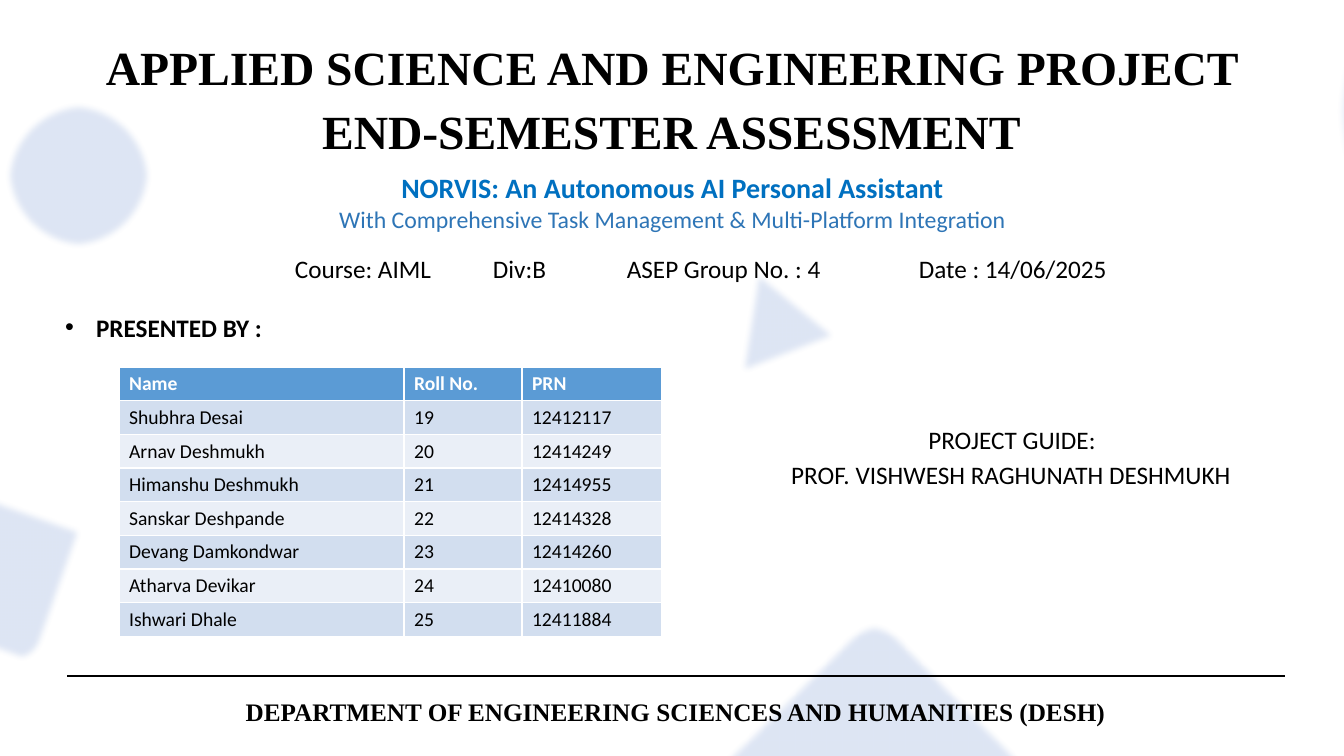
import pptx
import pptx.util
import pptx.dml.color
import pptx.oxml
import pptx.oxml.ns
import pptx.enum.shapes
import pptx.enum.text

PX = 914400 / 100.8
KIND = pptx.enum.shapes.MSO_SHAPE
ALIGN = pptx.enum.text.PP_ALIGN
NS = pptx.oxml.ns.nsdecls("a")
SERIF = "Times New Roman"


def px(*nums):
    """Turn pixel lengths into EMU."""
    return [pptx.util.Emu(round(n * PX)) for n in nums]


def write(para, words, size=18, font="Calibri", color="000000", bold=False, align=ALIGN.LEFT):
    run = para.add_run()
    run.text = words
    run.font.size = pptx.util.Pt(size)
    run.font.name = font
    run.font.bold = bold
    run.font.color.rgb = pptx.dml.color.RGBColor.from_string(color)
    para.alignment = align
    para.space_before = pptx.util.Pt(0)


deck = pptx.Presentation()
deck.slide_width, deck.slide_height = px(1344, 756)
slide = deck.slides.add_slide(deck.slide_layouts[1])
shapes = slide.shapes

# Pale soft-edged shapes behind the text
decor = [
    (KIND.OVAL, 4, 101, 150, 150, 0),
    (KIND.OVAL, 1337, -125, 490, 474, 0),
    (KIND.ROUND_2_DIAG_RECTANGLE, 742, 679, 311, 243, 45.4),
    (KIND.ROUND_2_DIAG_RECTANGLE, -85, 498, 152, 152, 19.5),
    (KIND.ISOSCELES_TRIANGLE, 712, 257, 122, 106, 338.9),
]
for kind, left, top, width, height, turn in decor:
    shape = shapes.add_shape(kind, *px(left, top, width, height))
    shape.rotation = turn
    shape.line.fill.background()
    shape.fill.solid()
    shape.fill.fore_color.rgb = pptx.dml.color.RGBColor.from_string("4472C4")
    tint = shape.fill._xPr.find(".//" + pptx.oxml.ns.qn("a:srgbClr"))
    tint.append(pptx.oxml.parse_xml(f'<a:alpha {NS} val="18000"/>'))
    shape.shadow.inherit = False
    glow = shape._element.spPr.find(pptx.oxml.ns.qn("a:effectLst"))
    glow.append(pptx.oxml.parse_xml(f'<a:softEdge {NS} rad="63500"/>'))

# Title and list heading
title, body = slide.placeholders
title.left, title.top, title.width, title.height = px(38, 32, 1269, 68)
head = dict(size=34, font=SERIF, bold=True, align=ALIGN.CENTER)
write(title.text_frame.paragraphs[0], "APPLIED SCIENCE AND ENGINEERING PROJECT", **head)

body.left, body.top, body.width, body.height = px(55, 307, 264, 40)
item = body.text_frame.paragraphs[0]
write(item, "PRESENTED BY :", bold=True)
indent = px(31)[0]
item._p.get_or_add_pPr().set("marL", str(indent))
item._p.get_or_add_pPr().set("indent", str(-indent))

# Text boxes: place, then lines with their format
mid = dict(align=ALIGN.CENTER)
boxes = [
    ((37, 97, 1269, 68), [("END-SEMESTER ASSESSMENT", head)]),
    ((320, 166, 705, 73), [
        ("NORVIS: An Autonomous AI Personal Assistant",
         dict(mid, size=20, color="0070C0", bold=True)),
        ("With Comprehensive Task Management & Multi-Platform Integration",
         dict(mid, size=17, color="2E75B6")),
    ]),
    ((285, 248, 190, 40), [("Course: AIML", {})]),
    ((483, 248, 78, 40), [("Div:B", {})]),
    ((617, 248, 232, 40), [("ASEP Group No. : 4", {})]),
    ((909, 248, 232, 40), [("Date : 14/06/2025", {})]),
    ((830, 419, 364, 40), [("PROJECT GUIDE:", mid)]),
    ((757, 454, 508, 40), [("PROF. VISHWESH RAGHUNATH DESHMUKH", mid)]),
    ((106, 691, 1139, 40), [
        ("DEPARTMENT OF ENGINEERING SCIENCES AND HUMANITIES (DESH)", dict(head, size=18)),
    ]),
]
for place, lines in boxes:
    frame = shapes.add_textbox(*px(*place)).text_frame
    frame.word_wrap = True
    for n, (words, fmt) in enumerate(lines):
        write(frame.add_paragraph() if n else frame.paragraphs[0], words, **fmt)

# Team table
team = [
    ("Name", "Roll No.", "PRN"),
    ("Shubhra Desai", "19", "12412117"),
    ("Arnav Deshmukh", "20", "12414249"),
    ("Himanshu Deshmukh", "21", "12414955"),
    ("Sanskar Deshpande", "22", "12414328"),
    ("Devang Damkondwar", "23", "12414260"),
    ("Atharva Devikar", "24", "12410080"),
    ("Ishwari Dhale", "25", "12411884"),
]
table = shapes.add_table(len(team), 3, *px(119, 367, 543, 269)).table
for col, width in zip(table.columns, px(285, 118, 140)):
    col.width = width
for r, row in enumerate(team):
    shade = ("EAEFF7", "D2DEEF")[r % 2] if r else "5B9BD5"
    for c, words in enumerate(row):
        cell = table.cell(r, c)
        cell.fill.solid()
        cell.fill.fore_color.rgb = pptx.dml.color.RGBColor.from_string(shade)
        write(cell.text_frame.paragraphs[0], words, size=14, bold=r == 0,
              color="000000" if r else "FFFFFF")

# Rule above the department name
rule = shapes.add_connector(pptx.enum.shapes.MSO_CONNECTOR.STRAIGHT, *px(1285, 676, 67, 676))
rule.line.width = pptx.util.Pt(1.25)
rule.line.color.rgb = pptx.dml.color.RGBColor.from_string("000000")
rule._element.spPr.append(pptx.oxml.parse_xml(f"<a:effectLst {NS}/>"))

deck.save("out.pptx")
